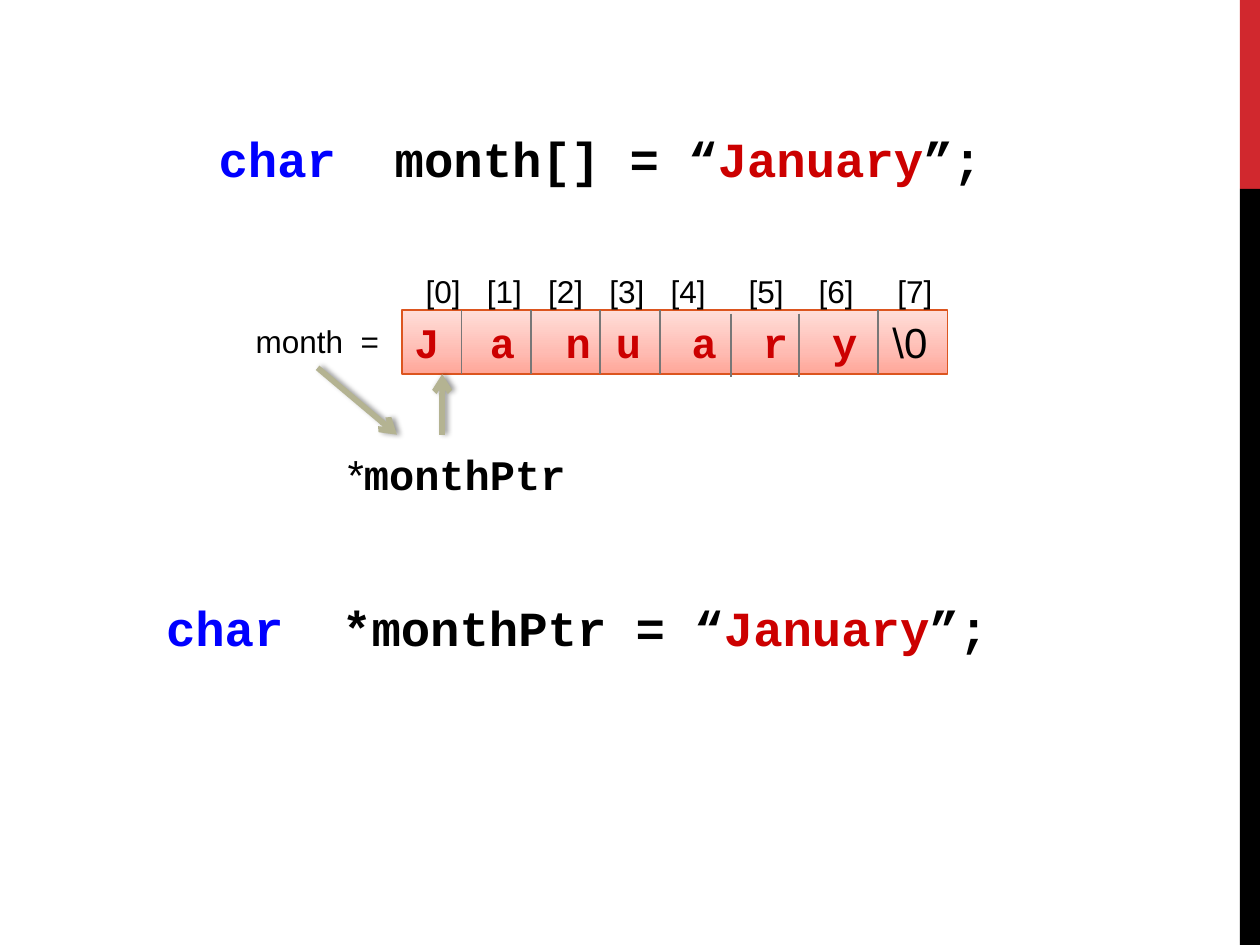
from copy import deepcopy

from lxml.etree import SubElement
from pptx import Presentation
from pptx.dml.color import RGBColor
from pptx.enum.shapes import MSO_CONNECTOR, MSO_SHAPE
from pptx.enum.text import MSO_ANCHOR, PP_ALIGN
from pptx.oxml.ns import qn
from pptx.util import Pt

COLORS = {
    "black": "000000", "accent": "D1282E", "keyword": "0000FF",
    "string": "CC0000", "divider": "777777", "arrow": "B4B392",
    "cell_line": "DC551F", "cell_dark": "FFA698", "cell_mid": "FFBCB3",
    "cell_light": "FFDED9",
}
CODE, PLAIN = "Courier New", "Arial"


def rgb(name):
    return RGBColor.from_string(COLORS[name])


def format_font(font, size, face, color="black", bold=False):
    font.size, font.name, font.bold = Pt(size), face, bold
    font.color.rgb = rgb(color)


def add_span(para, text, color):
    span = para.add_run()
    span.text = text
    span.font.color.rgb = rgb(color)
    return span


def add_text(page, left, top, width, height, wrap=False):
    """Add an empty text box and return its first paragraph."""
    box = page.shapes.add_textbox(Pt(left), Pt(top), Pt(width), Pt(height))
    box.text_frame.word_wrap = wrap
    return box.text_frame.paragraphs[0]


def set_tabs(para, stops):
    """Put left tab stops at the given distances from the text's left edge."""
    tabs = SubElement(para._p.get_or_add_pPr(), qn("a:tabLst"))
    for stop in stops:
        SubElement(tabs, qn("a:tab"), pos=str(Pt(stop)), algn="l")


def add_line(page, x1, y1, x2, y2, color, width):
    """Add a straight line and return it with its empty effect list."""
    line = page.shapes.add_connector(
        MSO_CONNECTOR.STRAIGHT, Pt(x1), Pt(y1), Pt(x2), Pt(y2))
    line.line.color.rgb = rgb(color)
    line.line.width = Pt(width)
    return line, SubElement(line._element.spPr, qn("a:effectLst"))


def add_arrow(page, x1, y1, x2, y2):
    """Add a thick arrow with a soft shadow to its right."""
    line, effects = add_line(page, x1, y1, x2, y2, "arrow", 3.25)
    SubElement(line.line._get_or_add_ln(), qn("a:tailEnd"), type="arrow")
    shadow = SubElement(effects, qn("a:outerShdw"), blurRad=str(Pt(3.1)),
                        dist=str(Pt(1.8)), dir="0", rotWithShape="0")
    tint = SubElement(shadow, qn("a:srgbClr"), val=COLORS["black"])
    SubElement(tint, qn("a:alpha"), val="40000")


def add_side_bar(page, left, width, split, height):
    for top, bottom, color in ((0, split, "accent"), (split, height, "black")):
        bar = page.shapes.add_shape(
            MSO_SHAPE.RECTANGLE, Pt(left), Pt(top), Pt(width), Pt(bottom - top))
        bar.shadow.inherit = False
        bar.fill.solid()
        bar.fill.fore_color.rgb = rgb(color)
        bar.line.fill.background()


def fill_cells(fill):
    """Fill with a three-stop gradient, darkest at the bottom."""
    fill.gradient()
    fill.gradient_angle = 90
    first = fill._fill._gradFill.gsLst[0]
    first.addnext(deepcopy(first))
    stops = ((0, "cell_dark"), (0.35, "cell_mid"), (1, "cell_light"))
    for stop, (position, color) in zip(fill.gradient_stops, stops):
        stop.position = position
        stop.color.rgb = rgb(color)


def add_array(page, left, top, width, height):
    """Draw the character array, its dividers and the index row above it."""
    box = page.shapes.add_shape(
        MSO_SHAPE.RECTANGLE, Pt(left), Pt(top), Pt(width), Pt(height))
    box.shadow.inherit = False
    fill_cells(box.fill)
    box.line.color.rgb = rgb("cell_line")
    box.line.width = Pt(1)
    box.text_frame.vertical_anchor = MSO_ANCHOR.MIDDLE
    para = box.text_frame.paragraphs[0]
    para.alignment = PP_ALIGN.LEFT
    set_tabs(para, (43.2, 86.4, 115.2, 158.4, 199.2, 238.8, 273.2))
    format_font(para.font, 24, CODE, "string", True)
    add_span(para, "\t".join("January") + "\t", "string")
    end = add_span(para, r"\0", "black")
    end.font.name, end.font.bold = PLAIN, False

    for offset, drop in ((34, 0), (73.6, 0), (113.2, 0), (147.6, 0),
                         (188, 2), (227, 2), (272, 0)):
        x, y = left + offset, top + drop
        add_line(page, x, y, x, y + height, "divider", 1)

    indexes = add_text(page, left + 6.5, top - 25.2, width - 6.5, 29, wrap=True)
    set_tabs(indexes, (35, 70, 105, 140, 184.5, 224.5, 269.5))
    indexes.text = "\t".join(f"[{index}]" for index in range(8))
    format_font(indexes.font, 18, PLAIN)


def add_pointer(page, left, top, width, height):
    """Write the pointer's name and the arrows that lead to and from it."""
    para = add_text(page, left, top, width, height)
    format_font(para.font, 24, CODE, bold=True)
    star = add_span(para, "*", "black")
    star.font.name, star.font.bold = PLAIN, False
    add_span(para, "monthPtr", "black")
    add_arrow(page, left + 61.2, top - 4.3, left + 61.2, top - 38.9)
    add_arrow(page, left - 10, top - 42.5, left + 35.3, top - 4.3)


def add_declaration(page, left, top, width, height, name, centered=False):
    para = add_text(page, left, top, width, height, wrap=centered)
    para.alignment = PP_ALIGN.CENTER if centered else PP_ALIGN.LEFT
    format_font(para.font, 28, CODE, bold=True)
    for text, color in (("char", "keyword"), (f"  {name} = “", "black"),
                        ("January", "string"), ("”;", "black")):
        add_span(para, text, color)


def main():
    deck = Presentation()
    deck.slide_width, deck.slide_height = Pt(720), Pt(540)
    page = deck.slides.add_slide(deck.slide_layouts[6])
    add_side_bar(page, 708.5, 11.5, 108, 540)
    add_declaration(page, 87.8, 69.8, 510.5, 41, "month[]", centered=True)
    label = add_text(page, 139, 180.7, 85.7, 29)
    label.text = "month  ="
    format_font(label.font, 18, PLAIN)
    add_array(page, 229.7, 177.2, 311.8, 36.4)
    add_pointer(page, 191.5, 252.7, 140.4, 36)
    add_declaration(page, 87.8, 337.7, 488.2, 41, "*monthPtr")
    deck.save("out.pptx")


if __name__ == "__main__":
    main()
